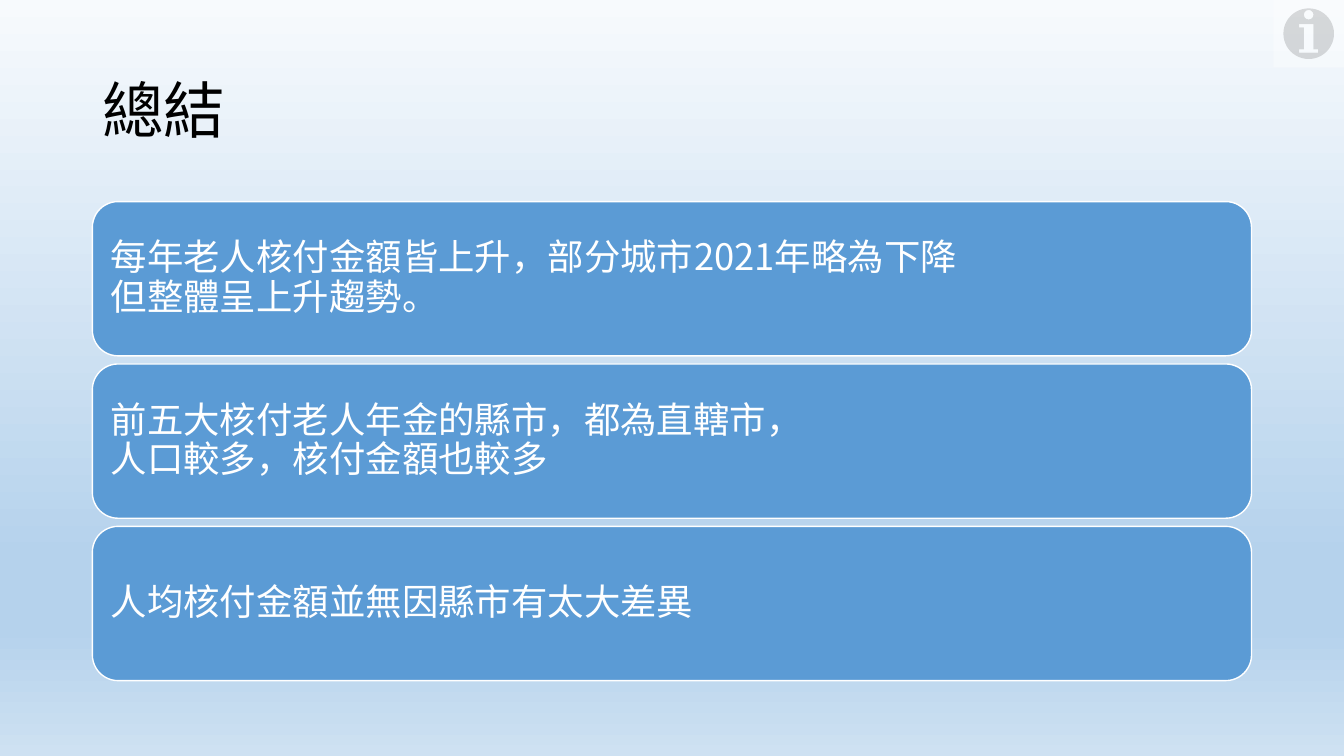
import pptx
import pptx.dml.color
import pptx.enum.shapes
import pptx.enum.text
import pptx.oxml.ns
import pptx.util
from lxml import etree

Pt = pptx.util.Pt
RGBColor = pptx.dml.color.RGBColor
SHAPES = pptx.enum.shapes.MSO_SHAPE
qn = pptx.oxml.ns.qn

BLACK = RGBColor(0x00, 0x00, 0x00)
WHITE = RGBColor(0xFF, 0xFF, 0xFF)
BLUE = RGBColor(0x5B, 0x9B, 0xD5)
SKY_STOPS = [
    (0, RGBColor(0xF7, 0xFA, 0xFD)),
    (74, RGBColor(0xB5, 0xD2, 0xEC)),
    (83, RGBColor(0xB5, 0xD2, 0xEC)),
    (100, RGBColor(0xCE, 0xE1, 0xF2)),
]

TITLE_FORMAT = {"size": Pt(44), "name": "Noto Sans CJK SC", "color": BLACK}
CARD_FORMAT = {"size": Pt(26), "name": "Noto Sans CJK TC", "color": WHITE}

CONCLUSIONS = [
    ["每年老人核付金額皆上升，部分城市2021年略為下降", "但整體呈上升趨勢。"],
    ["前五大核付老人年金的縣市，都為直轄市，", "人口較多，核付金額也較多"],
    ["人均核付金額並無因縣市有太大差異"],
]


def paint_background(page):
    fill = page.background.fill
    fill.gradient()
    fill.gradient_angle = 270
    stop_list = fill.gradient_stops[0]._gs.getparent()
    for stop in list(stop_list):
        stop_list.remove(stop)
    for percent, color in SKY_STOPS:
        stop = etree.SubElement(stop_list, qn("a:gs"), pos=str(percent * 1000))
        etree.SubElement(stop, qn("a:srgbClr"), val=str(color))


def write_text(frame, lines, text_format, inset_x, inset_y, space_after=0):
    """Fill the frame with one left-aligned paragraph, broken into lines."""
    frame_format = {
        "word_wrap": True,
        "vertical_anchor": pptx.enum.text.MSO_ANCHOR.MIDDLE,
        "margin_left": Pt(inset_x),
        "margin_right": Pt(inset_x),
        "margin_top": Pt(inset_y),
        "margin_bottom": Pt(inset_y),
    }
    for name, value in frame_format.items():
        setattr(frame, name, value)
    para = frame.paragraphs[0]
    para_format = {
        "alignment": pptx.enum.text.PP_ALIGN.LEFT,
        "line_spacing": 0.9,
        "space_after": Pt(space_after),
    }
    for name, value in para_format.items():
        setattr(para, name, value)
    for index, line in enumerate(lines):
        if index:
            para.add_line_break()
        span = para.add_run()
        span.text = line
        for name in ("size", "name"):
            setattr(span.font, name, text_format[name])
        span.font.color.rgb = text_format["color"]
        east_asian = etree.SubElement(span.font._element, qn("a:ea"))
        east_asian.set("typeface", text_format["name"])
    for line_break in para._p.findall(qn("a:br")):
        etree.SubElement(line_break, qn("a:rPr"), sz=str(int(text_format["size"].pt * 100)))


def add_title(page, left, top, width, height):
    box = page.shapes.add_textbox(Pt(left), Pt(top), Pt(width), Pt(height))
    write_text(box.text_frame, ["總結"], TITLE_FORMAT, 7.2, 3.6)


def add_conclusions(page, left, top, width, height, gap=5.8):
    """Stack one rounded card per conclusion, equally high, in the given box."""
    count = len(CONCLUSIONS)
    card_height = (height - gap * (count - 1)) / count
    for index, lines in enumerate(CONCLUSIONS):
        card_top = top + index * (card_height + gap)
        card = page.shapes.add_shape(
            SHAPES.ROUNDED_RECTANGLE, Pt(left), Pt(card_top), Pt(width), Pt(card_height)
        )
        card.shadow.inherit = False
        card.fill.solid()
        card.fill.fore_color.rgb = BLUE
        card.line.color.rgb = WHITE
        card.line.width = Pt(1)
        write_text(card.text_frame, lines, CARD_FORMAT, 7.8, 7.8, space_after=9)


def add_info_button(page, left, top, width, height):
    button = page.shapes.add_shape(
        SHAPES.ACTION_BUTTON_INFORMATION, Pt(left), Pt(top), Pt(width), Pt(height)
    )
    button.shadow.inherit = False
    button.fill.solid()
    button.fill.fore_color.rgb = WHITE
    button.line.fill.background()
    color = button._element.spPr.find(qn("a:solidFill")).find(qn("a:srgbClr"))
    etree.SubElement(color, qn("a:alpha"), val="35000")


def main():
    deck = pptx.Presentation()
    deck.slide_width, deck.slide_height = Pt(960), Pt(540)
    page = deck.slides.add_slide(deck.slide_layouts[6])
    paint_background(page)
    add_title(page, 66, 28.8, 828, 104.4)
    add_conclusions(page, 66, 144, 828, 342.2)
    add_info_button(page, 909.6, 0, 50.4, 48.2)
    deck.save("out.pptx")


if __name__ == "__main__":
    main()
